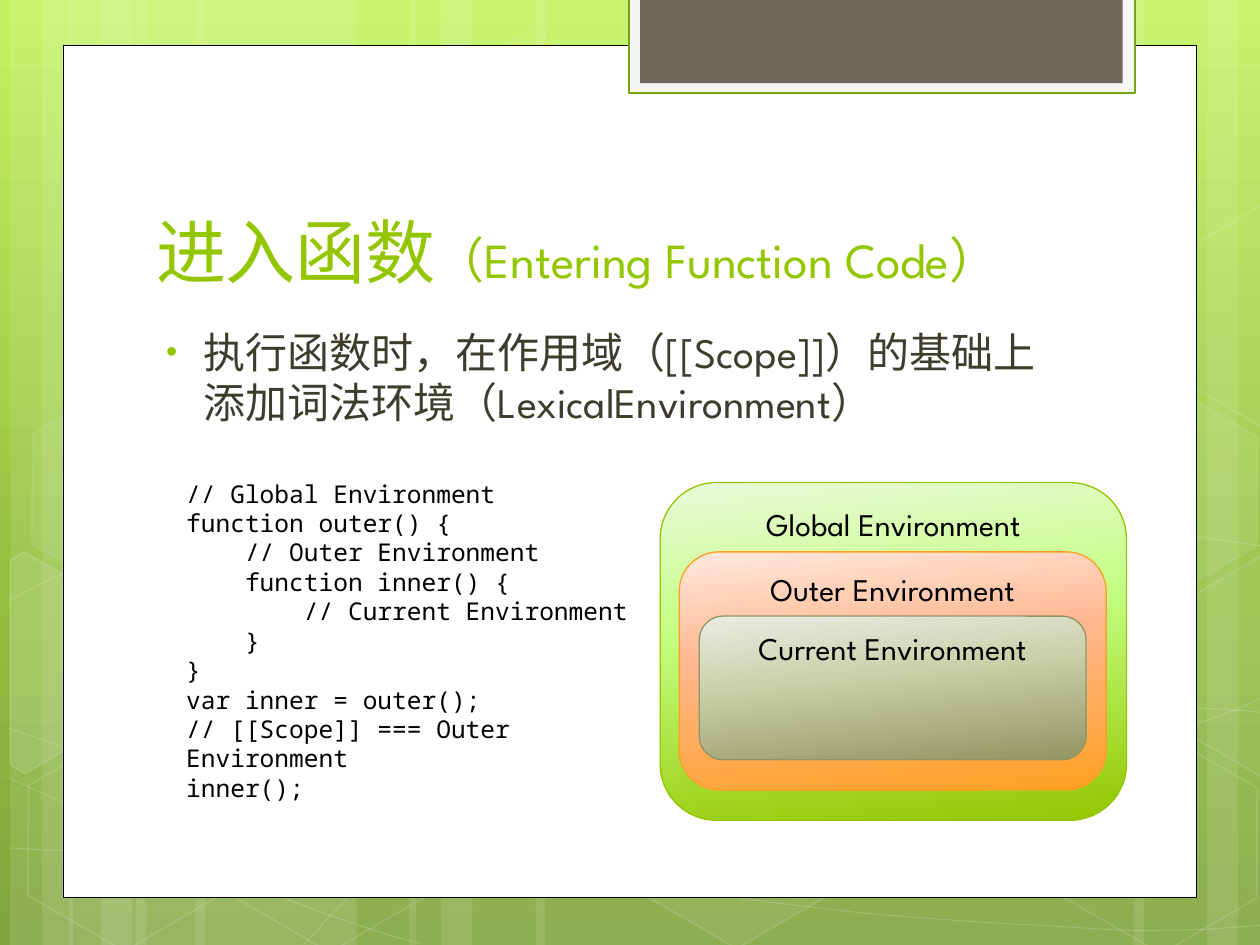
from lxml import etree
from pptx import Presentation
from pptx.dml.color import RGBColor
from pptx.enum.lang import MSO_LANGUAGE_ID
from pptx.enum.shapes import MSO_SHAPE
from pptx.enum.text import MSO_ANCHOR, PP_ALIGN
from pptx.oxml.ns import qn
from pptx.util import Inches, Pt

RECT, ROUND, HEXAGON = MSO_SHAPE.RECTANGLE, MSO_SHAPE.ROUNDED_RECTANGLE, MSO_SHAPE.HEXAGON
TOP, BOTTOM = MSO_ANCHOR.TOP, MSO_ANCHOR.BOTTOM
LEFT, CENTER = PP_ALIGN.LEFT, PP_ALIGN.CENTER
CHINESE = MSO_LANGUAGE_ID.SIMPLIFIED_CHINESE

THEME = {
    "white": "FFFFFF", "black": "000000", "accent": "94C600", "body": "3E3D2D",
    "tab_frame": "F5F5F5", "tab_line": "74A510", "tab": "71685A",
    "background": [(0, "C3F35F"), (62, "93BF3F"), (100, "81A53E")],
    "font": "League Spartan", "mono": "Noto Sans Mono",
    "title": 40, "subtitle": 28, "text": 24, "label": 18, "code": 14,
}

# Content
TITLE = [("进入函数", "title"), ("（Entering Function Code）", "subtitle")]
BULLET = "执行函数时，在作用域（[[Scope]]）的基础上添加词法环境（LexicalEnvironment）"
CODE = """// Global Environment
function outer() {
    // Outer Environment
    function inner() {
        // Current Environment
    }
}
var inner = outer();
// [[Scope]] === Outer Environment
inner();""".split("\n")
# label, (left, top, width, height), gradient colours, line colour
SCOPES = [
    ("Global Environment", (5.24, 3.83, 3.7, 2.68), ("EAF9DA", "C4FF82", "94C600"), "94C600"),
    ("Outer Environment", (5.39, 4.38, 3.39, 1.89), ("FFE9DE", "FFB78F", "FFA021"), "FEA022"),
    ("Current Environment", (5.55, 4.89, 3.07, 1.14), ("EBECE3", "CDD1AB", "929663"), "909465"),
]
SCOPE_STOPS = (0, 40, 100)

# Backdrop: bars as (left, width)
BARS = [(1.08, 1.75), (0.08, 0.5), (0.33, 0.83), (1.55, 1.75), (0.55, 0.5), (0.8, 0.83),
        (7.33, 1.75), (9.58, 0.5), (9, 0.83), (4.25, 3.08), (3.25, 0.5), (3.5, 0.83)]
# Bezier chains: a start point, then two control points and an end point per segment
CURVES = [
    [(0.07, 6.73), (0.61, 6.76), (1.15, 6.79), (1.9, 6.78), (2.65, 6.77), (3.58, 6.75),
     (4.58, 6.65), (5.58, 6.55), (7, 6.36), (7.92, 6.17), (8.83, 5.98), (9.77, 5.68),
     (10.07, 5.51)],
    [(0.07, 4.77), (0.36, 4.61), (0.65, 4.46), (1.21, 4.31), (1.78, 4.16), (2.59, 3.94),
     (3.47, 3.87), (4.36, 3.8), (5.44, 3.79), (6.54, 3.87), (7.64, 3.95), (9.47, 4.26),
     (10.07, 4.34)],
    [(0.06, 6.17), (1.27, 6.72), (2.47, 7.27), (3.34, 7.49)],
    [(0.07, 5.78), (0.38, 5.89), (0.7, 6), (1.28, 6.16), (1.86, 6.31), (2.73, 6.56),
     (3.57, 6.73), (4.4, 6.9), (5.45, 7.08), (6.28, 7.18), (7.11, 7.29), (8, 7.33),
     (8.53, 7.36), (9.05, 7.4), (9.19, 7.38), (9.45, 7.38), (9.71, 7.37), (9.89, 7.35),
     (10.07, 7.34)],
    [(2.42, 7.49), (2.6, 7.29), (2.78, 7.09), (3.02, 6.91), (3.26, 6.73), (3.6, 6.53),
     (3.88, 6.39), (4.16, 6.25), (4.33, 6.19), (4.7, 6.09), (5.06, 5.99), (5.73, 5.85),
     (6.08, 5.78), (6.44, 5.71), (6.49, 5.71), (6.8, 5.69), (7.11, 5.66), (7.6, 5.63),
     (7.94, 5.62), (8.29, 5.61), (8.86, 5.62), (8.86, 5.62), (9.08, 5.62), (9.3, 5.62),
     (9.53, 5.62), (9.71, 5.63), (9.88, 5.64), (9.97, 5.65), (10.06, 5.66), (10.03, 5.65),
     (10.06, 5.66)],
]
# Hexagons as (left, top, fill opacity, line opacity)
HEXAGONS = [(3.34, 0.36, 4, 8), (4.97, 5.89, 6, 12), (0.11, 5.91, 0, 12), (0.14, 3.12, 7, 8),
            (1.74, 5.92, 0, 12), (7.53, 4.53, 10, 12), (8.34, 5.93, 0, 12), (8.34, 3.14, 7, 8)]
# Hexagons cut by the slide edge as (points, fill opacity)
CUT_HEXAGONS = [
    ([(0.08, 4.45), (0.19, 4.38), (0.96, 4.82), (0.95, 5.7), (0.2, 6.14), (0.08, 6.07)], 10),
    ([(9.26, 4.85), (10.01, 4.41), (10.09, 4.46), (10.09, 6.13), (10.02, 6.17), (9.26, 5.73)], 4),
    ([(9.26, 2.07), (10.01, 1.63), (10.1, 1.68), (10.09, 3.35), (10.02, 3.39), (9.26, 2.95)], 0),
]


def rgb(name):
    return RGBColor.from_string(THEME.get(name, name))


def set_alpha(parent, percent):
    if percent < 100:
        clr = parent.find(qn("a:solidFill") + "/" + qn("a:srgbClr"))
        etree.SubElement(clr, qn("a:alpha"), val=str(percent * 1000))


def set_gradient(fill, element, stops, angle):
    fill.gradient()
    fill.gradient_angle = 360 - angle
    gs_list = next(element.iter(qn("a:gsLst")))
    for gs in list(gs_list):
        gs_list.remove(gs)
    for pos, color in stops:
        gs = etree.SubElement(gs_list, qn("a:gs"), pos=str(pos * 1000))
        etree.SubElement(gs, qn("a:srgbClr"), val=color)


def style(sp, fill=None, fill_alpha=100, line=None, width=1, line_alpha=100):
    sp.shadow.inherit = False
    if fill and fill_alpha:
        sp.fill.solid()
        sp.fill.fore_color.rgb = rgb(fill)
        set_alpha(sp.element.spPr, fill_alpha)
    else:
        sp.fill.background()
    if line:
        sp.line.color.rgb = rgb(line)
        sp.line.width = Pt(width)
        set_alpha(sp.element.spPr.find(qn("a:ln")), line_alpha)
    else:
        sp.line.fill.background()
    return sp


def add_shape(s, kind, box, **look):
    return style(s.shapes.add_shape(kind, *map(Inches, box)), **look)


def add_outline(s, points, closed, **look):
    pts = [(Inches(x), Inches(y)) for x, y in points]
    builder = s.shapes.build_freeform(*pts[0])
    builder.add_line_segments(pts[1:], close=closed)
    return style(builder.convert_to_shape(), **look)


def bend(sp):
    """Turn each three line segments into one cubic Bezier segment."""
    lines = list(sp.element.iter(qn("a:lnTo")))
    outline = lines[0].getparent()
    for i in range(0, len(lines), 3):
        curve = etree.SubElement(outline, qn("a:cubicBezTo"))
        for line in lines[i:i + 3]:
            curve.append(line[0])
            outline.remove(line)


def add_run(p, text, size, color, font="font"):
    r = p.add_run()
    r.text = text
    look = {"name": THEME[font], "size": Pt(THEME[size]), "language_id": CHINESE}
    for key, value in look.items():
        setattr(r.font, key, value)
    r.font.color.rgb = rgb(color)


def add_text(s, box, anchor=TOP):
    tf = s.shapes.add_textbox(*map(Inches, box)).text_frame
    for key, value in {"word_wrap": True, "vertical_anchor": anchor}.items():
        setattr(tf, key, value)
    return tf


def add_bullet(p):
    pPr = p._p.get_or_add_pPr()
    pPr.set("marL", str(Inches(0.38)))
    pPr.set("indent", str(Inches(-0.3)))
    color = etree.SubElement(pPr, qn("a:buClr"))
    etree.SubElement(color, qn("a:srgbClr"), val=THEME["accent"])
    etree.SubElement(pPr, qn("a:buSzPct"), val="76000")
    etree.SubElement(pPr, qn("a:buFont"), typeface="Arial")
    etree.SubElement(pPr, qn("a:buChar"), char="•")


def main():
    prs = Presentation()
    prs.slide_width, prs.slide_height = Inches(10), Inches(7.5)
    s = prs.slides.add_slide(prs.slide_layouts[6])

    # Backdrop
    set_gradient(s.background.fill, s.element, THEME["background"], 90)
    for left, width in BARS:
        add_shape(s, RECT, (left, 0, width, 7.5), fill="white", fill_alpha=10)
    for chain in CURVES:
        bend(add_outline(s, chain, False, line="white", width=0.5, line_alpha=20))
    for left, top, fill_alpha, line_alpha in HEXAGONS:
        sp = add_shape(s, HEXAGON, (left, top, 1.75, 1.52), fill="white",
                       fill_alpha=fill_alpha, line="white", line_alpha=line_alpha)
        sp.adjustments[0] = 0.285
        sp.rotation = 30
    for points, fill_alpha in CUT_HEXAGONS:
        add_outline(s, points, True, fill="white", fill_alpha=fill_alpha,
                    line="white", line_alpha=12)

    # Page and tab
    add_shape(s, RECT, (0.5, 0.36, 9, 6.76), fill="white", line="black", width=0.5)
    add_shape(s, RECT, (4.99, -0.02, 4.02, 0.76), fill="tab_frame", line="tab_line", width=1.25)
    add_shape(s, RECT, (5.08, -0.02, 3.83, 0.68), fill="tab")

    # Title and bullet
    p = add_text(s, (1.14, 1.12, 7.68, 1.25), BOTTOM).paragraphs[0]
    for text, size in TITLE:
        add_run(p, text, size, "accent")
    p = add_text(s, (1.14, 2.54, 7.41, 3.84)).paragraphs[0]
    add_bullet(p)
    add_run(p, BULLET, "text", "body")

    # Nested scopes
    for label, box, colors, line in SCOPES:
        sp = add_shape(s, ROUND, box, line=line, width=0.75)
        set_gradient(sp.fill, sp.element, zip(SCOPE_STOPS, colors), 84)
        tf = sp.text_frame
        tf.vertical_anchor = TOP
        tf.paragraphs[0].alignment = CENTER
        add_run(tf.paragraphs[0], label, "label", "black")

    # Code
    tf = add_text(s, (1.38, 3.75, 3.94, 2.46))
    for i, text in enumerate(CODE):
        p = tf.add_paragraph() if i else tf.paragraphs[0]
        p.alignment = LEFT
        add_run(p, text, "code", "black", "mono")

    prs.save("out.pptx")


if __name__ == "__main__":
    main()
